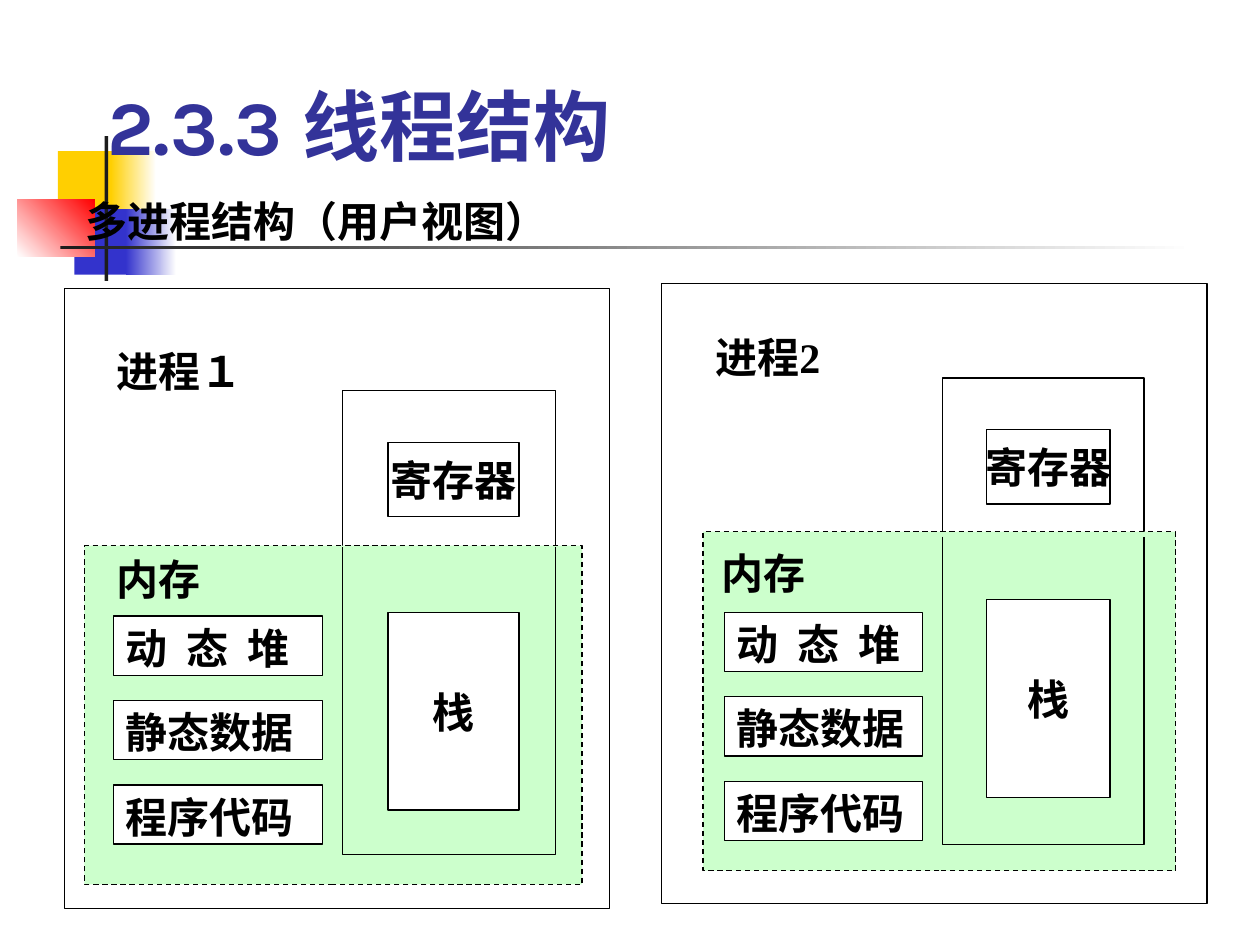
from dataclasses import dataclass

from lxml.etree import _Element
from pptx import Presentation
from pptx.dml.color import RGBColor
from pptx.enum.dml import MSO_LINE
from pptx.enum.shapes import MSO_SHAPE
from pptx.enum.text import MSO_ANCHOR, MSO_AUTO_SIZE, PP_ALIGN
from pptx.shapes.autoshape import Shape
from pptx.slide import Slide
from pptx.util import Inches, Pt

BLACK, WHITE, GREEN = "000000", "FFFFFF", "CCFFCC"
YELLOW, BLUE, RED, DARK = "FFCF01", "3333CC", "FF0000", "1C1C1C"
SERIF, SANS = "Times New Roman", "Karla"
SEGMENTS = ["动  态  堆", "静态数据", "程序代码"]
SEGMENT_PITCH = 0.67


@dataclass
class Box:
    left: float
    top: float
    width: float
    height: float


@dataclass
class Ornament:
    box: Box
    start: str
    end: str
    angle: float = 0


@dataclass
class Process:
    name: str
    frame: Box
    name_box: Box
    thread: Box
    memory: Box
    memory_label: Box
    first_segment: Box
    core_left: float
    core_width: float
    outline_top: float


ORNAMENTS = [
    Ornament(Box(0.46, 1.2, 0.48, 0.52), YELLOW, YELLOW),
    Ornament(Box(0.88, 1.2, 0.36, 0.52), YELLOW, WHITE),
    Ornament(Box(0.59, 1.66, 0.46, 0.52), BLUE, BLUE),
    Ornament(Box(1, 1.66, 0.4, 0.52), BLUE, WHITE),
    Ornament(Box(0.14, 1.58, 0.61, 0.46), WHITE, RED, 45),
    Ornament(Box(0.83, 1.08, 0.03, 1.15), DARK, DARK),
    Ornament(Box(0.48, 1.95, 9, 0.03), DARK, WHITE),
]

PROCESSES = [
    Process("进程2", Box(5.25, 2.25, 4.33, 4.92), Box(5.58, 2.58, 1.08, 0.5),
            Box(7.48, 3, 1.6, 3.75), Box(5.58, 4.22, 3.75, 2.69),
            Box(5.63, 4.3, 1.02, 0.5), Box(5.75, 4.86, 1.57, 0.47),
            7.83, 0.98, 4.26),
    Process("进程１", Box(0.51, 2.29, 4.33, 4.92), Box(0.83, 2.69, 1.22, 0.5),
            Box(2.72, 3.1, 1.69, 3.75), Box(0.67, 4.33, 3.95, 2.69),
            Box(0.83, 4.34, 1.02, 0.5), Box(0.9, 4.89, 1.66, 0.47),
            3.08, 1.04, 4.34),
]


def color(value: str) -> RGBColor:
    return RGBColor.from_string(value)


def place(box: Box) -> list[int]:
    return [Inches(value) for value in (box.left, box.top, box.width, box.height)]


def set_outline(shape: Shape) -> None:
    shape.line.color.rgb = color(BLACK)
    shape.line.width = Pt(0.75)


def write(shape: Shape, text: str, font: str = SERIF, size: float = 24,
          text_color: str = BLACK) -> None:
    shape.text_frame.text = text
    paragraph = shape.text_frame.paragraphs[0]
    paragraph.alignment = PP_ALIGN.LEFT
    paragraph.font.name = font
    paragraph.font.size = Pt(size)
    paragraph.font.bold = True
    paragraph.font.color.rgb = color(text_color)


def add_rectangle(slide: Slide, box: Box, fill: str = WHITE,
                  outlined: bool = True) -> Shape:
    shape = slide.shapes.add_shape(MSO_SHAPE.RECTANGLE, *place(box))
    shape.shadow.inherit = False
    shape.fill.solid()
    shape.fill.fore_color.rgb = color(fill)
    if outlined:
        set_outline(shape)
    else:
        shape.line.fill.background()
    return shape


def add_ornament(slide: Slide, ornament: Ornament) -> None:
    shape = add_rectangle(slide, ornament.box, ornament.start, outlined=False)
    if ornament.start != ornament.end:
        shape.fill.gradient()
        shape.fill.gradient_angle = ornament.angle
        for stop, value, position in zip(shape.fill.gradient_stops,
                                         (ornament.start, ornament.end), (0, 1)):
            stop.color.rgb = color(value)
            stop.position = position


def fit_text(shape: Shape) -> None:
    """Wrap from the top and let the shape grow with its text."""
    frame = shape.text_frame
    frame.word_wrap = True
    frame.vertical_anchor = MSO_ANCHOR.TOP
    frame.auto_size = MSO_AUTO_SIZE.SHAPE_TO_FIT_TEXT


def add_label(slide: Slide, box: Box, text: str, font: str = SERIF) -> None:
    shape = slide.shapes.add_textbox(*place(box))
    write(shape, text, font)
    fit_text(shape)


def add_core_box(slide: Slide, box: Box, text: str) -> None:
    shape = add_rectangle(slide, box)
    write(shape, text)
    shape.text_frame.word_wrap = False
    shape.text_frame.vertical_anchor = MSO_ANCHOR.MIDDLE
    shape.text_frame.paragraphs[0].alignment = PP_ALIGN.CENTER


def add_thread_outline(slide: Slide, thread: Box, top: float) -> None:
    """Continue the thread's border across the memory area."""
    left, right = Inches(thread.left), Inches(thread.left + thread.width)
    start, bottom = Inches(top), Inches(top + 2.44)
    builder = slide.shapes.build_freeform(left, start)
    builder.add_line_segments(
        [(left, bottom), (right, bottom), (right, start)], close=False)
    outline = builder.convert_to_shape()
    outline.shadow.inherit = False
    outline.fill.background()
    set_outline(outline)


def add_process(slide: Slide, process: Process) -> None:
    add_rectangle(slide, process.frame)
    add_rectangle(slide, process.thread)
    memory = add_rectangle(slide, process.memory, GREEN)
    memory.line.dash_style = MSO_LINE.DASH

    first = process.first_segment
    for index, text in enumerate(SEGMENTS):
        top = first.top + index * SEGMENT_PITCH
        segment = add_rectangle(slide, Box(first.left, top, first.width, first.height))
        write(segment, text)
        segment.text_frame.vertical_anchor = MSO_ANCHOR.TOP

    for text, offset, height in (("栈", 1.76, 1.57), ("寄存器", 0.41, 0.59)):
        add_core_box(slide, Box(process.core_left, process.thread.top + offset,
                                process.core_width, height), text)

    name = add_rectangle(slide, process.name_box, outlined=False)
    write(name, process.name)
    fit_text(name)
    add_thread_outline(slide, process.thread, process.outline_top)
    add_label(slide, process.memory_label, "内存", SANS)


def add_title(slide: Slide) -> None:
    title = slide.shapes.title
    title.left, title.top, title.width, title.height = place(Box(0.75, 0.33, 8.5, 1.08))
    write(title, "2.3.3 线程结构", SANS, 44, "333399")
    title.text_frame.vertical_anchor = MSO_ANCHOR.BOTTOM
    element: _Element = title._element
    element.getparent().append(element)  # in front of the ornaments


def main() -> None:
    presentation = Presentation()
    presentation.slide_width, presentation.slide_height = Inches(10), Inches(7.5)
    slide = presentation.slides.add_slide(presentation.slide_layouts[5])
    for ornament in ORNAMENTS:
        add_ornament(slide, ornament)
    add_title(slide)
    add_label(slide, Box(0.58, 1.5, 4.17, 0.5), "多进程结构（用户视图）")
    for process in PROCESSES:
        add_process(slide, process)
    presentation.save("out.pptx")


if __name__ == "__main__":
    main()
